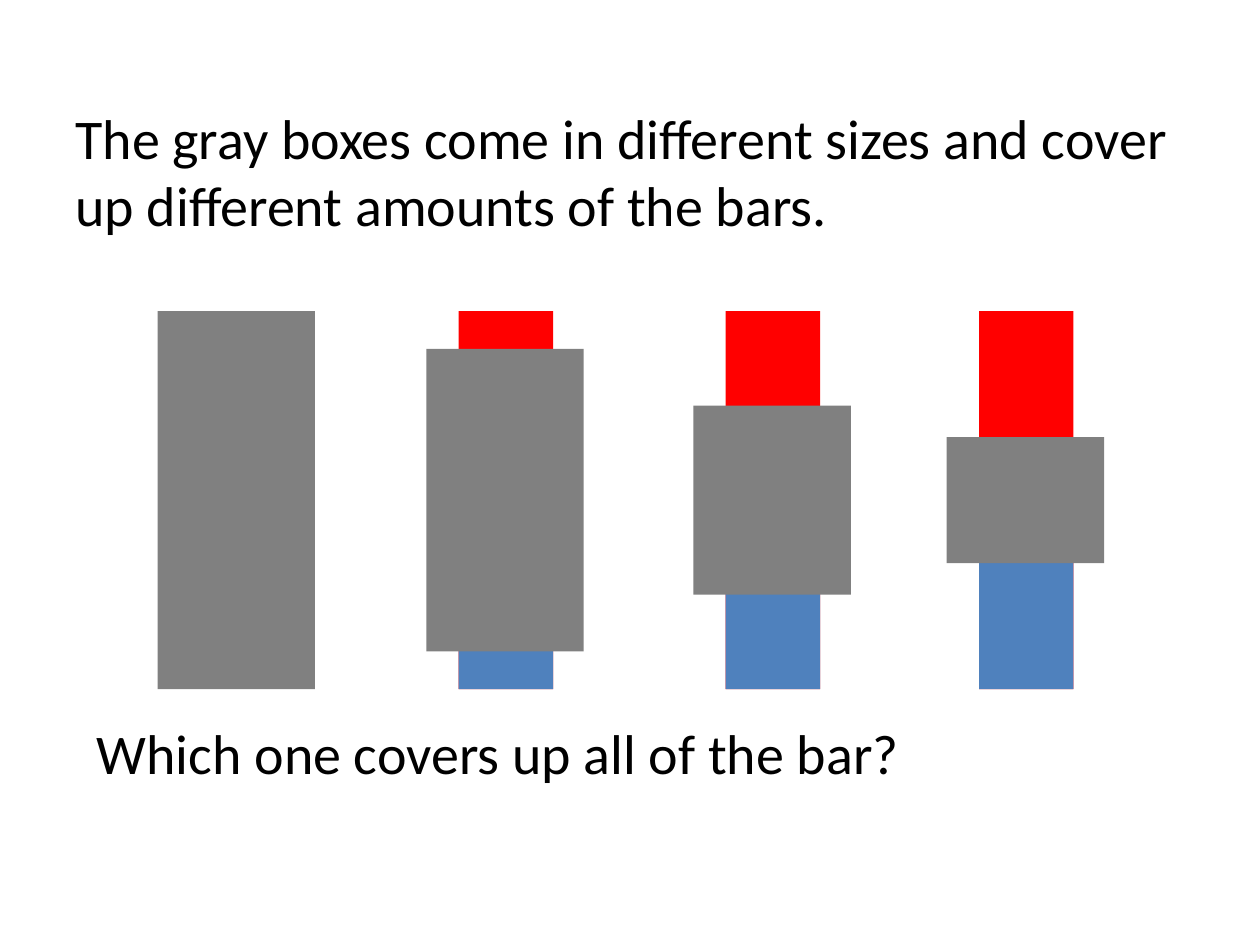
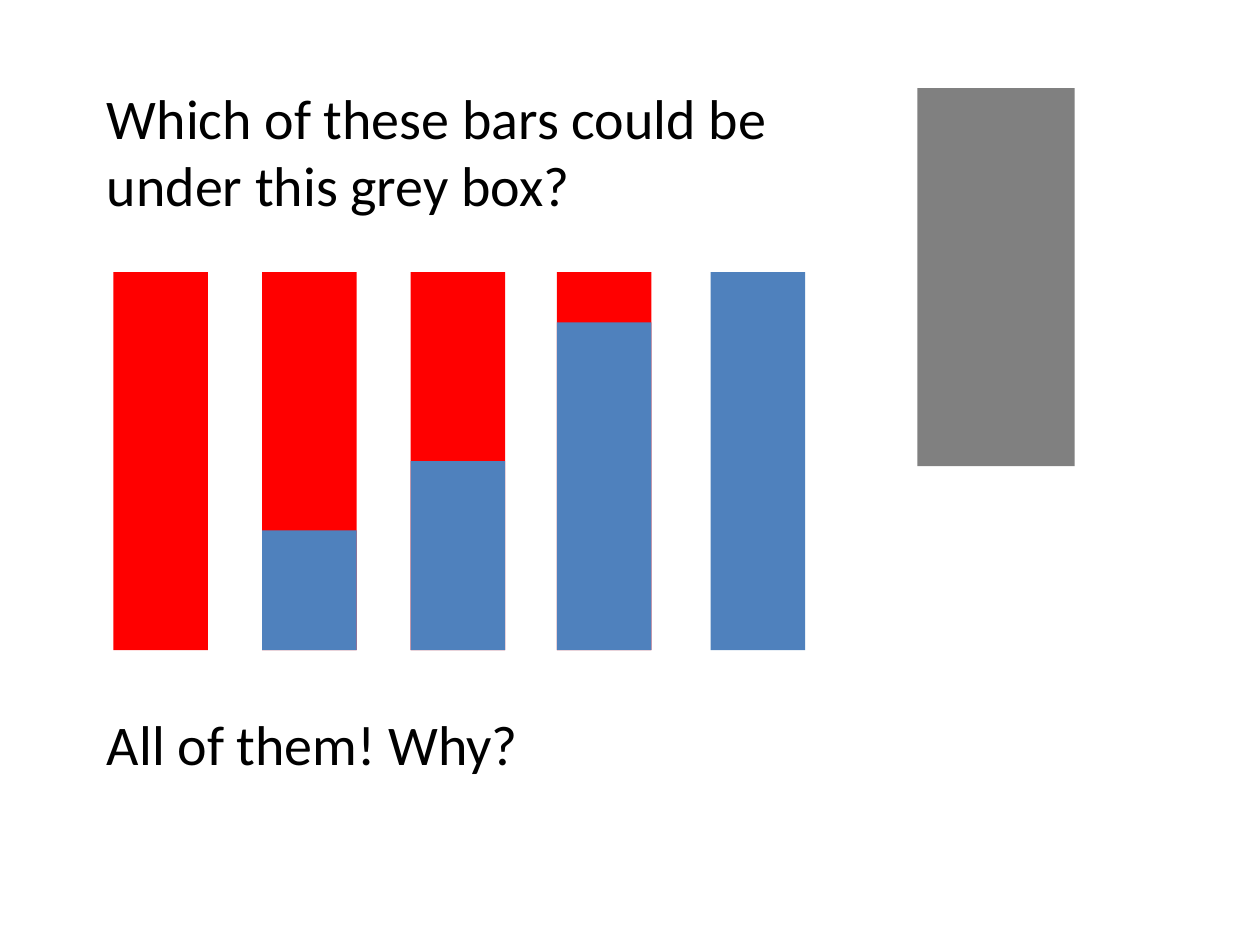
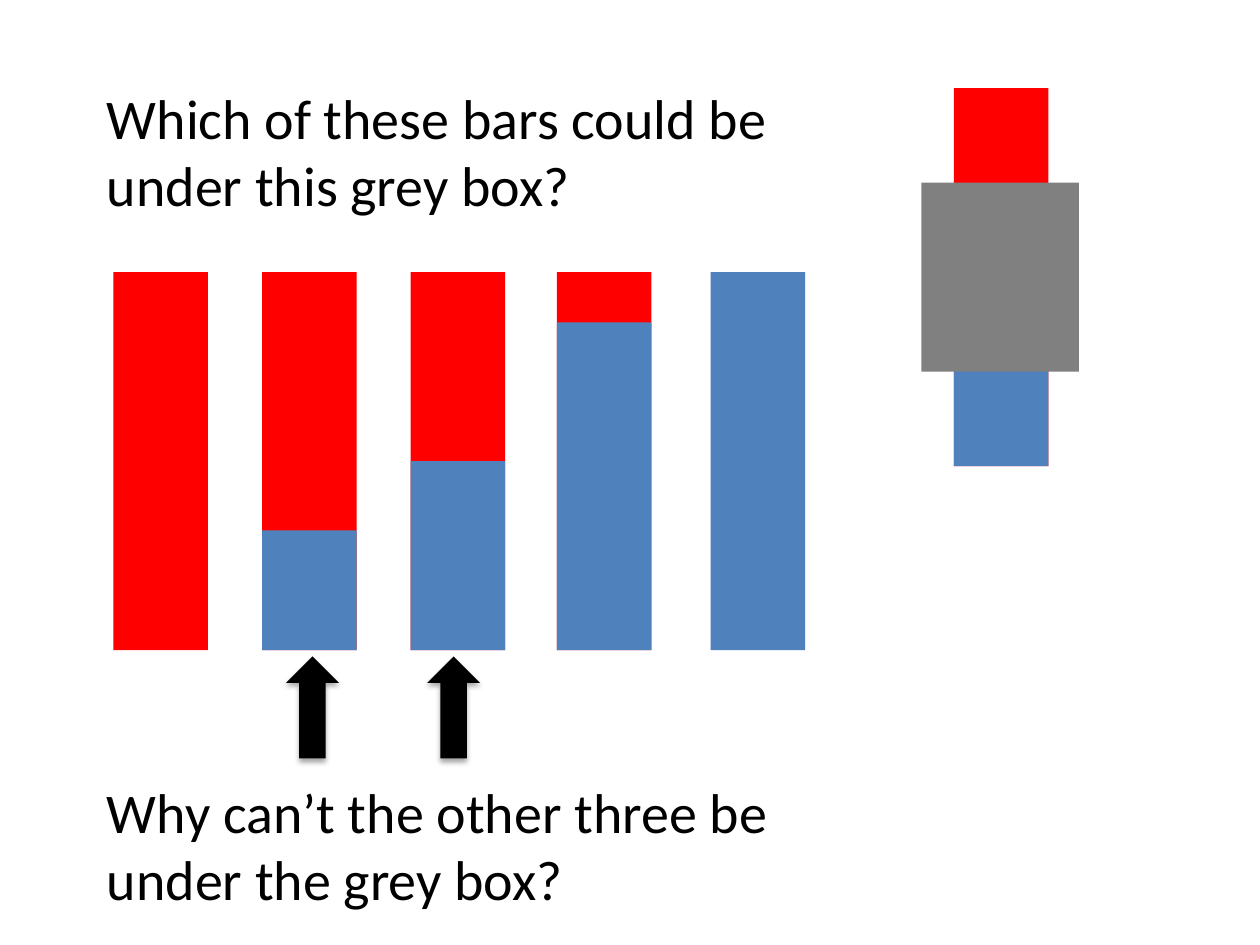
from dataclasses import dataclass

from lxml.etree import SubElement
from pptx import Presentation
from pptx.dml.color import RGBColor as Color
from pptx.enum.shapes import MSO_SHAPE as Preset
from pptx.enum.text import MSO_ANCHOR as Anchor
from pptx.oxml.ns import qn
from pptx.util import Pt


@dataclass(frozen=True)
class Theme:
    red: str = "FF0000"
    blue: str = "4F81BD"
    gray: str = "808080"
    black: str = "000000"
    font: str = "Calibri"
    text_size: float = 32
    space_before: float = 6.4


THEME = Theme()
SLIDE_WIDTH, SLIDE_HEIGHT = 720, 540
BAR_WIDTH, BAR_HEIGHT = 54, 216
COVER_WIDTH, COVER_OVERHANG = 90, 18.5
ARROW_WIDTH, ARROW_HEIGHT = 30.24, 58.32
ROW_TOP = 155.52
SAMPLE_TOP = 50.4
ROW_BARS = [(64.8, 0), (149.76, 68.4), (234.72, 108), (318.24, 187.2), (406.08, 216)]
QUESTION = "Which of these bars could be under this grey box?"


def apply_format(target, values):
    for name, value in values.items():
        setattr(target, name, value)


def add_text(page, text, left, top, width, height):
    box = page.shapes.add_textbox(Pt(left), Pt(top), Pt(width), Pt(height))
    frame = box.text_frame
    apply_format(frame, {"word_wrap": True, "vertical_anchor": Anchor.TOP})
    para = frame.paragraphs[0]
    para.space_before = Pt(THEME.space_before)
    span = para.add_run()
    span.text = text
    apply_format(span.font, {"name": THEME.font, "size": Pt(THEME.text_size)})
    span.font.color.rgb = Color.from_string(THEME.black)


def add_filled(parent, color, left, top, width, height, preset=Preset.RECTANGLE):
    shape = parent.shapes.add_shape(preset, Pt(left), Pt(top), Pt(width), Pt(height))
    shape.shadow.inherit = False
    shape.fill.solid()
    shape.fill.fore_color.rgb = Color.from_string(color)
    shape.line.fill.background()
    return shape


def add_bar(parent, left, top, blue_height):
    if blue_height < BAR_HEIGHT:
        add_filled(parent, THEME.red, left, top, BAR_WIDTH, BAR_HEIGHT)
    if blue_height > 0:
        blue_top = top + BAR_HEIGHT - blue_height
        add_filled(parent, THEME.blue, left, blue_top, BAR_WIDTH, blue_height)


def add_cover(parent, left, top, height):
    cover_top = top + (BAR_HEIGHT - height) / 2
    add_filled(parent, THEME.gray, left, cover_top, COVER_WIDTH, height)


def add_covered_bar(page, left, top, cover_height):
    group = page.shapes.add_group_shape()
    add_bar(group, left, top, BAR_HEIGHT / 2)
    add_cover(group, left - COVER_OVERHANG, top, cover_height)


def add_bar_row(page):
    for left, blue_height in ROW_BARS:
        mixed = 0 < blue_height < BAR_HEIGHT
        parent = page.shapes.add_group_shape() if mixed else page
        add_bar(parent, left, ROW_TOP, blue_height)


def add_arrow(page, left, top):
    arrow = add_filled(page, THEME.black, left, top, ARROW_WIDTH, ARROW_HEIGHT, Preset.UP_ARROW)
    effects = arrow._element.spPr.find(qn("a:effectLst"))
    shadow = SubElement(effects, qn("a:outerShdw"), blurRad=str(Pt(3.1)),
                        dist=str(Pt(1.8)), dir="5400000", rotWithShape="0")
    color = SubElement(shadow, qn("a:srgbClr"), val=THEME.black)
    SubElement(color, qn("a:alpha"), val="35000")


def build_cover_sizes(page):
    top = 177.84
    add_text(page, "The gray boxes come in different sizes and cover up "
             "different amounts of the bars.", 36, 55.44, 640.8, 114.48)
    add_cover(page, 90, top, BAR_HEIGHT)
    for left, cover_height in [(262.08, 172.8), (414.72, 108), (559.44, 72)]:
        add_covered_bar(page, left, top, cover_height)
    add_text(page, "Which one covers up all of the bar?", 48.24, 406.8, 640.8, 114.48)


def build_question(page, answer, answer_top, answer_height):
    add_text(page, QUESTION, 54, 43.92, 470.16, 114.48)
    add_bar_row(page)
    add_text(page, answer, 54, answer_top, 470.16, answer_height)


def build_full_cover(page):
    build_question(page, "All of them! Why?", 401.76, 114.48)
    add_cover(page, 524.16, SAMPLE_TOP, BAR_HEIGHT)


def build_half_cover(page):
    build_question(page, "Why can’t the other three be under the grey box?", 440.64, 84.24)
    add_covered_bar(page, 545.04, SAMPLE_TOP, BAR_HEIGHT / 2)
    for left in (163.44, 244.08):
        add_arrow(page, left, 375.12)


def main():
    deck = Presentation()
    apply_format(deck, {"slide_width": Pt(SLIDE_WIDTH), "slide_height": Pt(SLIDE_HEIGHT)})
    for build in (build_cover_sizes, build_full_cover, build_half_cover):
        build(deck.slides.add_slide(deck.slide_layouts[6]))
    deck.save("out.pptx")


main()
